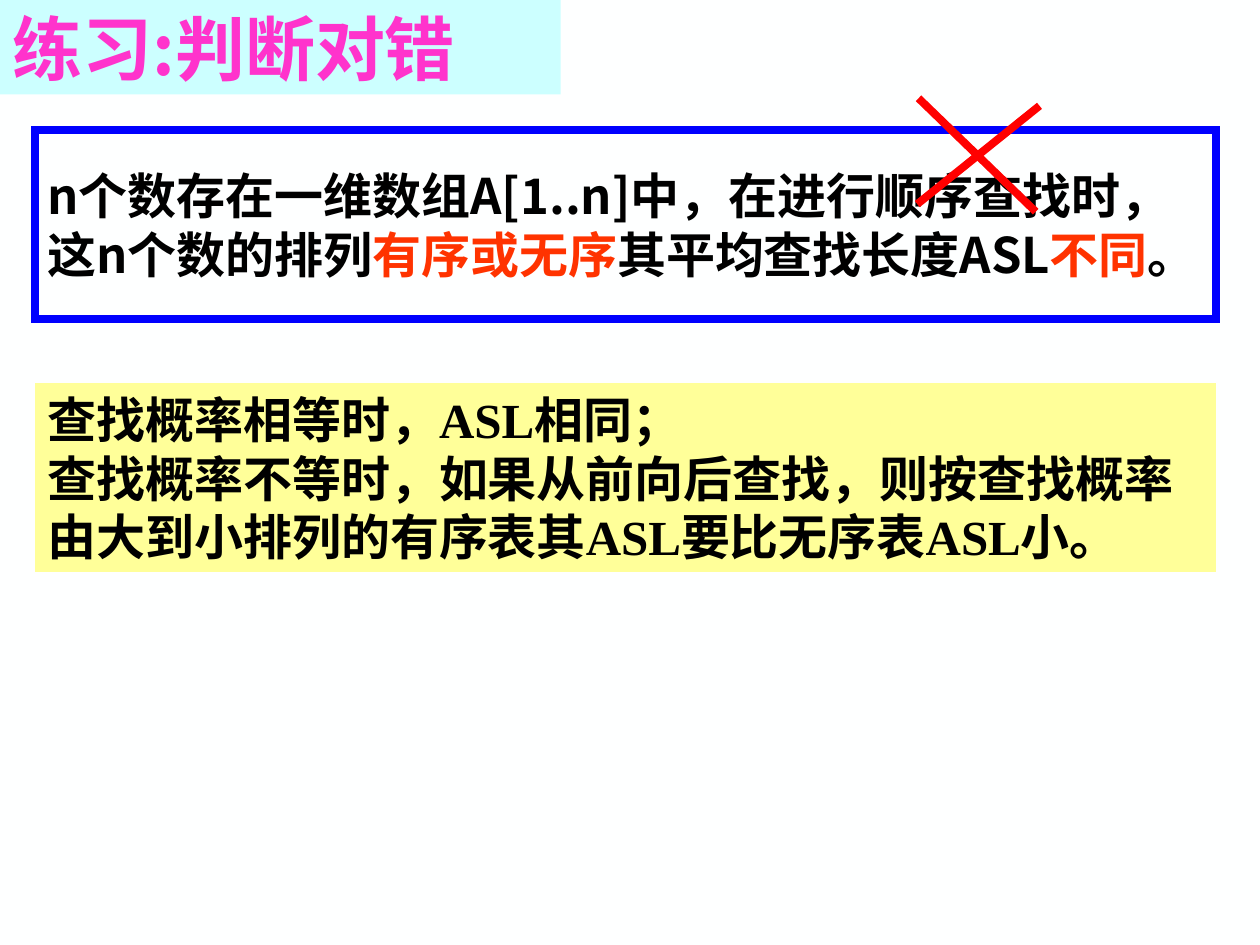
from pptx import Presentation
from pptx.dml.color import RGBColor
from pptx.enum.shapes import MSO_CONNECTOR, MSO_SHAPE
from pptx.enum.text import MSO_ANCHOR, MSO_AUTO_SIZE, PP_ALIGN
from pptx.oxml.ns import qn
from pptx.util import Inches, Pt

RECTANGLE = MSO_SHAPE.RECTANGLE
STRAIGHT = MSO_CONNECTOR.STRAIGHT
MIDDLE = MSO_ANCHOR.MIDDLE
LEFT = PP_ALIGN.LEFT
FIT_SHAPE, NO_FIT = MSO_AUTO_SIZE.SHAPE_TO_FIT_TEXT, MSO_AUTO_SIZE.NONE
SANS, SERIF = "Noto Sans CJK SC", "Times New Roman"
BLACK, ORANGE = "000000", "FF3300"

STATEMENT = [
    ("n个数存在一维数组A[1..n]中，在进行顺序查找时，这n个数的排列", BLACK),
    ("有序或无序", ORANGE),
    ("其平均查找长度ASL", BLACK),
    ("不同", ORANGE),
    ("。", BLACK),
]
ANSWER = [
    "查找概率相等时，ASL相同；",
    "查找概率不等时，如果从前向后查找，则按查找概率由大到小排列的有序表其ASL要比无序表ASL小。",
]


def color(value):
    """Turn a hex string into a colour."""
    return RGBColor.from_string(value)


def fill_solid(target, value):
    """Give a shape or background a solid fill."""
    target.fill.solid()
    target.fill.fore_color.rgb = color(value)


def append_element(parent, tag, **attributes):
    """Append a drawing element to an XML parent."""
    parent.append(parent.makeelement(qn(tag), attributes))


def write(frame, paragraphs, size, font, fit):
    """Write paragraphs of (text, colour) spans into a text frame."""
    frame.word_wrap = True
    frame.auto_size = fit
    frame.vertical_anchor = MIDDLE
    for index, spans in enumerate(paragraphs):
        para = frame.add_paragraph() if index else frame.paragraphs[0]
        para.alignment = LEFT
        para.line_spacing = 1.0
        para.space_before = Pt(0)
        para.font.size = Pt(size)
        para.font.bold = True
        para.font.name = font
        properties = para._p.pPr
        properties.set("hangingPunct", "0")
        append_element(properties.find(qn("a:defRPr")), "a:ea", typeface=SANS)
        for text, value in spans:
            span = para.add_run()
            span.text = text
            span.font.color.rgb = color(value)


def add_heading(page, box):
    """Place and format the title."""
    title = page.shapes.title
    title.left, title.top, title.width, title.height = map(Inches, box)
    fill_solid(title, "CCFFFF")
    write(title.text_frame, [[("练习:判断对错", "FF33CC")]], 40, SANS, NO_FIT)


def add_panel(page, box):
    """Add a plain rectangle without shadow, fill or line."""
    panel = page.shapes.add_shape(RECTANGLE, *map(Inches, box))
    panel.shadow.inherit = False
    panel.fill.background()
    panel.line.fill.background()
    return panel


def add_statement(page, box):
    """Add the framed statement to be judged."""
    panel = add_panel(page, box)
    panel.line.color.rgb = color("0000FF")
    panel.line.width = Pt(4.5)
    outline = panel._element.spPr.find(qn("a:ln"))
    append_element(outline, "a:miter", lim="800000")
    write(panel.text_frame, [STATEMENT], 28, SANS, FIT_SHAPE)


def add_answer(page, box):
    """Add the highlighted explanation."""
    panel = add_panel(page, box)
    fill_solid(panel, "FFFF99")
    paragraphs = [[(text, BLACK)] for text in ANSWER]
    write(panel.text_frame, paragraphs, 28, SERIF, FIT_SHAPE)


def add_cross(page, strokes):
    """Add the red cross as a group of two lines."""
    cross = page.shapes.add_group_shape()
    for ends in strokes:
        stroke = cross.shapes.add_connector(STRAIGHT, *map(Inches, ends))
        stroke.line.color.rgb = color("FF0000")
        stroke.line.width = Pt(4.5)
        append_element(stroke._element.spPr, "a:effectLst")


def main():
    """Build and save the slide."""
    deck = Presentation()
    deck.slide_width, deck.slide_height = Inches(10), Inches(7.5)
    page = deck.slides.add_slide(deck.slide_layouts[5])
    fill_solid(page.background, "FEFFFF")
    add_heading(page, (0, 0, 4.45, 0.75))
    add_statement(page, (0.28, 1.03, 9.37, 1.5))
    add_answer(page, (0.28, 3.04, 9.37, 1.5))
    add_cross(page, [(7.29, 0.78, 8.22, 1.68), (8.25, 0.84, 7.28, 1.62)])
    deck.save("out.pptx")


if __name__ == "__main__":
    main()
